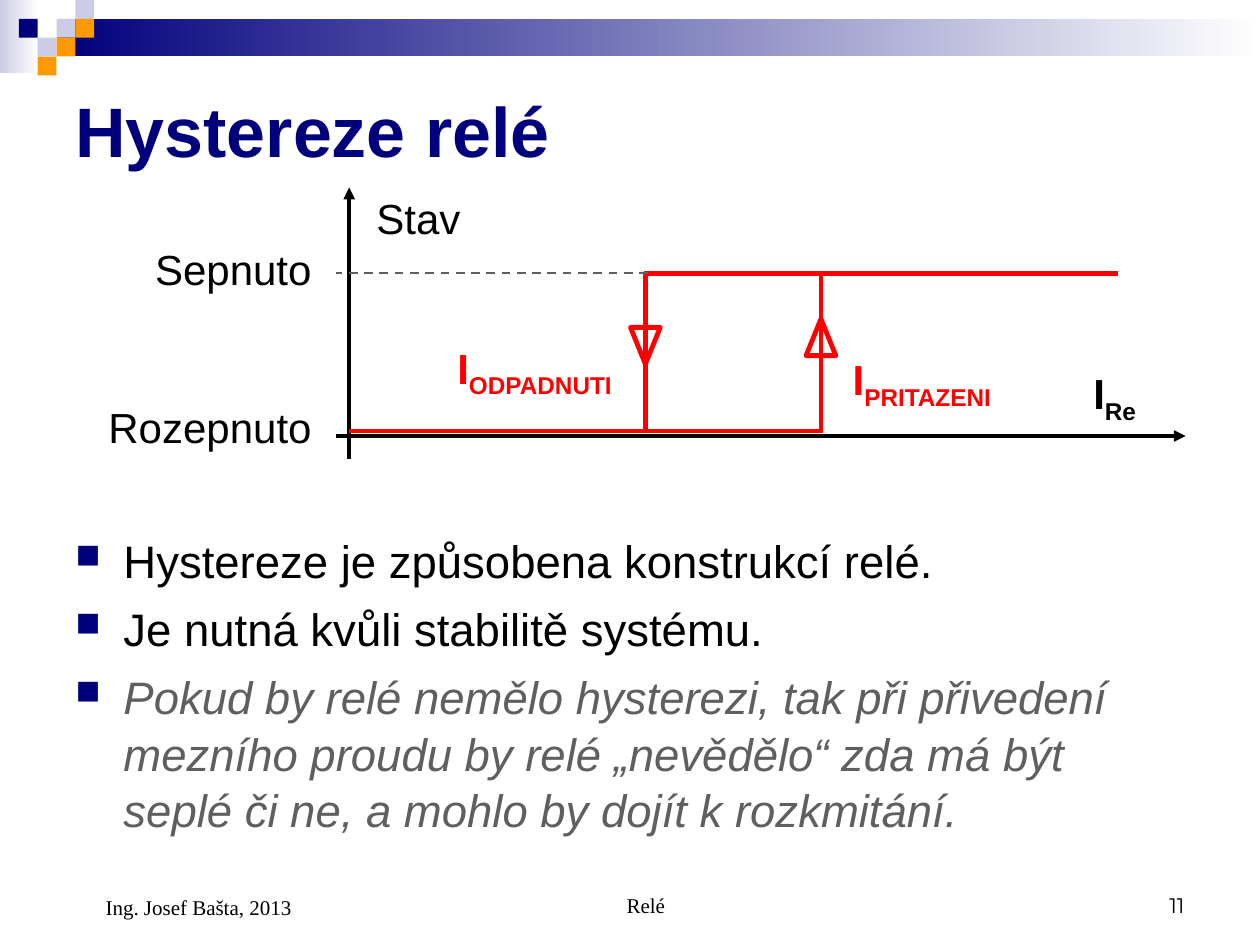
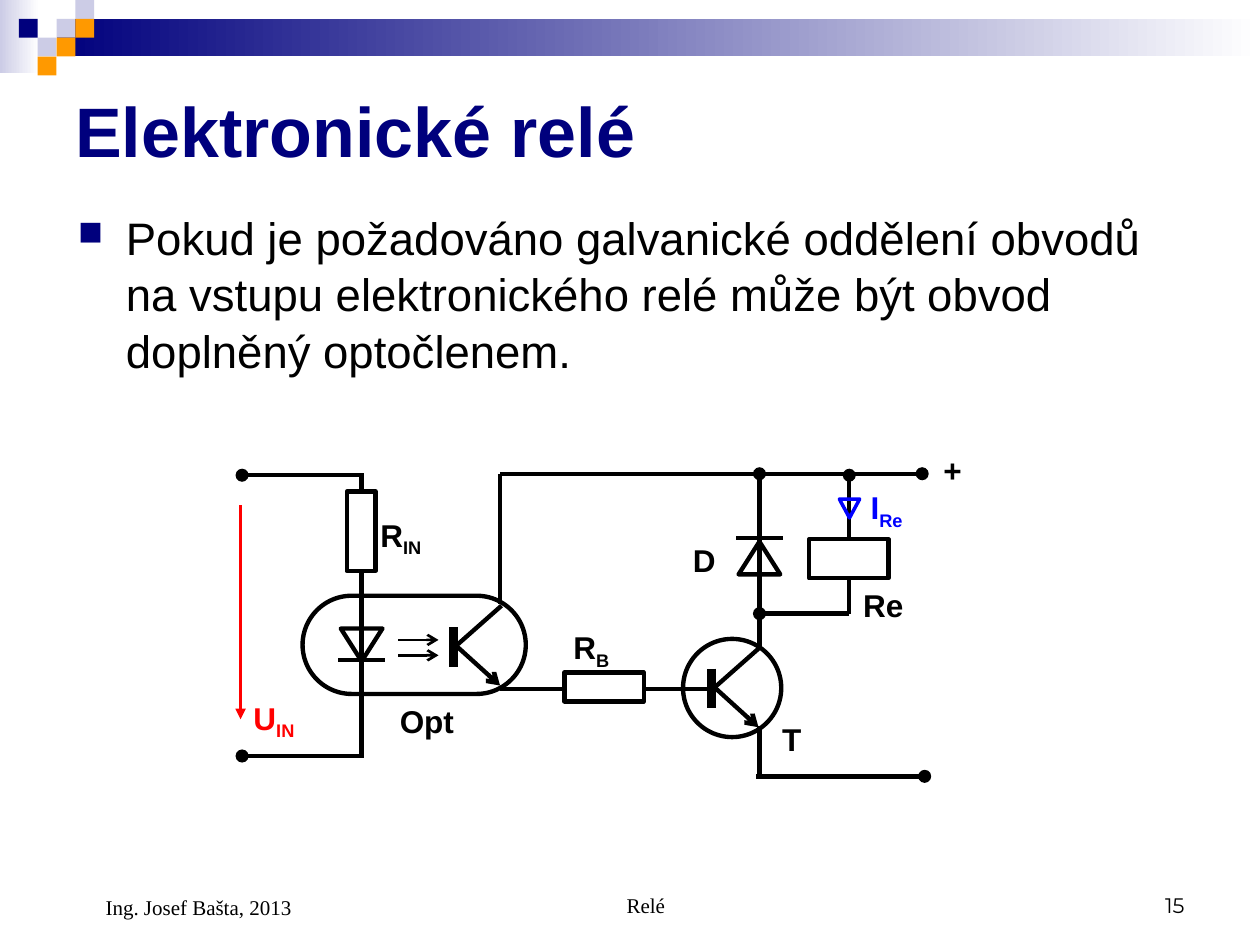
from lxml import etree
from pptx import Presentation
from pptx.dml.color import RGBColor
from pptx.enum.dml import MSO_LINE
from pptx.enum.shapes import MSO_CONNECTOR, MSO_SHAPE
from pptx.enum.text import MSO_ANCHOR, PP_ALIGN
from pptx.oxml.ns import qn
from pptx.util import Cm, Pt

RECT, ROUND = MSO_SHAPE.RECTANGLE, MSO_SHAPE.ROUNDED_RECTANGLE
TRIANGLE, OVAL = MSO_SHAPE.ISOSCELES_TRIANGLE, MSO_SHAPE.OVAL
STRAIGHT, DASH = MSO_CONNECTOR.STRAIGHT, MSO_LINE.DASH
LEFT, CENTER, RIGHT = PP_ALIGN.LEFT, PP_ALIGN.CENTER, PP_ALIGN.RIGHT
TOP, MIDDLE, BOTTOM = MSO_ANCHOR.TOP, MSO_ANCHOR.MIDDLE, MSO_ANCHOR.BOTTOM

NAVY, LAVENDER, ORANGE = "00007D", "CCCCE6", "FF9900"
BLACK, WHITE, GRAY, RED, BLUE = "000000", "FFFFFF", "5F5F5F", "FF0000", "0000FF"
SANS, SERIF, NUMERIC = "Arial", "Times New Roman", "Montserrat"
CELL = 0.38
SQUARES = [(3, 1, LAVENDER), (4, 0, LAVENDER), (4, 1, ORANGE), (2, 2, LAVENDER),
           (1, 1, NAVY), (3, 2, ORANGE), (2, 3, ORANGE)]


def rgb(color):
    return RGBColor.from_string(color)


class Deck:
    """Holds the shared style and the slide being drawn."""

    def __init__(self):
        self.prs = Presentation()
        self.prs.slide_width, self.prs.slide_height = Cm(25.4), Cm(19.05)
        self.s = None

    def slide(self, title, number):
        self.s = self.prs.slides.add_slide(self.prs.slide_layouts[6])
        self.gradient(0, 0, 0.79, 1.47, LAVENDER)
        self.gradient(3 * CELL, CELL, 25.4 - 3 * CELL, 0.76, NAVY)
        for col, row, color in SQUARES:
            self.shape(RECT, col * CELL, row * CELL, CELL, CELL, fill=color)
        self.text(title, 1.27, 1.27, 22.86, 2.62, 40, NAVY, bold=True, anchor=MIDDLE)
        self.footer("Relé", 8.69, 8.05, CENTER, SERIF, 0.61)
        self.footer(number, 18.21, 5.92, RIGHT, NUMERIC)
        self.footer("Ing. Josef Bašta, 2013", 1.27, 5.92, LEFT, SERIF, 0.61, 1.32)

    def footer(self, text, x, w, align, font, margin=0, h=1.27):
        p = self.text(text, x, 17.35, w, h, 12, align=align, font=font, anchor=BOTTOM, spacing=1)
        p._p.get_or_add_pPr().set("marL", str(Cm(margin)))

    def shape(self, kind, x, y, w, h, fill=None, line=None, width=2.5, rotation=0):
        sp = self.s.shapes.add_shape(kind, Cm(x), Cm(y), Cm(w), Cm(h))
        sp.shadow.inherit = False
        sp.rotation = rotation
        if fill:
            sp.fill.solid()
            sp.fill.fore_color.rgb = rgb(fill)
        else:
            sp.fill.background()
        if line:
            sp.line.color.rgb = rgb(line)
            sp.line.width = Pt(width)
        else:
            sp.line.fill.background()
        return sp

    def gradient(self, x, y, w, h, color):
        fill = self.shape(RECT, x, y, w, h).fill
        fill.gradient()
        fill.gradient_angle = 0
        for stop, tint in zip(fill.gradient_stops, (color, WHITE)):
            stop.color.rgb = rgb(tint)

    def line(self, x1, y1, x2, y2, color=BLACK, width=2.5, dash=None, head=None, tail=None):
        sp = self.s.shapes.add_connector(STRAIGHT, Cm(x1), Cm(y1), Cm(x2), Cm(y2))
        sp.line.color.rgb = rgb(color)
        sp.line.width = Pt(width)
        if dash:
            sp.line.dash_style = dash
        props = sp._element.spPr
        for tag, end in (("a:headEnd", head), ("a:tailEnd", tail)):
            if end:
                etree.SubElement(props.find(qn("a:ln")), qn(tag), type=end)
        etree.SubElement(props, qn("a:effectLst"))

    def text(self, text, x, y, w, h, size, color=BLACK, bold=False, align=LEFT, font=SANS,
             anchor=TOP, sub="", inset=True, spacing=1.04):
        tf = self.s.shapes.add_textbox(Cm(x), Cm(y), Cm(w), Cm(h)).text_frame
        tf.word_wrap = True
        tf.vertical_anchor = anchor
        if not inset:
            tf.margin_left = tf.margin_right = tf.margin_top = tf.margin_bottom = 0
        tf.text = text
        p = tf.paragraphs[0]
        p.alignment = align
        p.line_spacing = spacing
        if sub:
            r = p.add_run()
            r.text = sub
            r.font._element.set("baseline", "-25000")
        for r in p.runs:
            self.format(r, size, color, font, bold)
        return p

    def format(self, r, size, color, font=SANS, bold=False, italic=False):
        r.font.size, r.font.name = Pt(size), font
        r.font.bold, r.font.italic = bold, italic
        r.font.color.rgb = rgb(color)

    def bullets(self, items, x, y, h):
        tf = self.s.shapes.add_textbox(Cm(x), Cm(y), Cm(22.86), Cm(h)).text_frame
        tf.word_wrap = True
        tf.text = "\n".join(text for text, _ in items)
        for i, (p, (_, muted)) in enumerate(zip(tf.paragraphs, items)):
            p.line_spacing = 1.04
            p.space_before = Pt(6.5 if i else 0)
            props = p._p.get_or_add_pPr()
            props.set("marL", str(Cm(0.97)))
            props.set("indent", str(-Cm(0.97)))
            color = etree.SubElement(props, qn("a:buClr"))
            etree.SubElement(color, qn("a:srgbClr"), val=NAVY)
            etree.SubElement(props, qn("a:buSzPct"), val="75000")
            etree.SubElement(props, qn("a:buChar"), char="■")
            self.format(p.runs[0], 26, GRAY if muted else BLACK, italic=muted)

    def graph_label(self, text, x, y, w, color=BLACK, sub="", align=LEFT):
        self.text(text, x, y, w, 1.42 if sub else 1.27, 24, color, bool(sub), align, sub=sub)

    def part_label(self, text, x, y, color=BLACK, sub="", w=1.3):
        self.text(text, x, y, w, 0.86 if sub else 0.76, 18, color, True, sub=sub, inset=False)

    def transistor(self, x, y):
        self.line(x, y - 0.4, x, y + 0.4, width=5)
        self.line(x + 0.03, y, x + 0.97, y - 0.83)
        self.line(x + 0.08, y, x + 0.94, y + 0.78, tail="arrow")

    def diode(self, x, y, bar_y, rotation=0):
        self.shape(TRIANGLE, x - 0.42, y, 0.84, 0.66, line=BLACK, rotation=rotation)
        self.line(x - 0.47, bar_y, x + 0.47, bar_y, width=2.25)


def hysteresis(d):
    d.slide("Hystereze relé", "11")
    d.bullets([
        ("Hystereze je způsobena konstrukcí relé.", False),
        ("Je nutná kvůli stabilitě systému.", False),
        ("Pokud by relé nemělo hysterezi, tak při přivedení mezního proudu by relé "
         "„nevědělo“ zda má být seplé či ne, a mohlo by dojít k rozkmitání.", True),
    ], 1.27, 10.57, 6.25)
    axis_x, closed_y, open_y = 7.04, 5.51, 8.69
    d.line(6.78, 8.79, 23.9, 8.79, width=2.25, tail="triangle")
    d.line(axis_x, 9.25, axis_x, 3.78, width=2.25, tail="triangle")
    d.line(axis_x, open_y, 16.59, open_y, RED, 2.75)
    d.line(12.98, closed_y, 22.53, closed_y, RED, 2.75)
    for x, arrow_y, rotation in ((16.55, 6.43, 0), (13.01, 6.6, 180)):
        d.line(x, closed_y, x, open_y, RED, 2.75)
        d.shape(TRIANGLE, x - 0.3, arrow_y, 0.6, 0.74, line=RED, width=2.75, rotation=rotation)
    d.line(13.06, closed_y, 6.78, closed_y, GRAY, 1.25, DASH)
    d.graph_label("I", 21.79, 7.24, 2.59, sub="Re")
    d.graph_label("Stav", 7.34, 3.71, 2.59)
    d.graph_label("Sepnuto", 1.37, 4.75, 5.16, align=RIGHT)
    d.graph_label("Rozepnuto", 1.37, 7.92, 5.16, align=RIGHT)
    d.graph_label("I", 16.94, 6.96, 3.84, RED, "PRITAZENI")
    d.graph_label("I", 8.97, 6.73, 4.17, RED, "ODPADNUTI")


def electronic_relay(d):
    d.slide("Elektronické relé", "15")
    d.bullets([("Pokud je požadováno galvanické oddělení obvodů na vstupu elektronického "
                "relé může být obvod doplněný optočlenem.", False)], 1.32, 4.06, 4.09)

    supply_y, input_x, opto_x, load_x, coil_x = 9.55, 7.29, 10.08, 15.31, 17.12
    d.line(coil_x, 12.37, coil_x, 9.58, tail="oval")
    d.line(load_x, 12.37, coil_x, 12.37, head="oval")
    d.line(load_x, 13.06, load_x, supply_y, tail="oval")
    d.line(load_x, 15.65, load_x, 14.63)
    d.line(15.24, 15.65, 18.64, 15.65, tail="oval")
    d.line(opto_x, 12.17, opto_x, supply_y)
    d.line(opto_x, supply_y, 18.59, supply_y, tail="oval")
    d.line(opto_x, 13.89, 14.3, 13.89)
    d.line(input_x, 15.24, input_x, 9.58)
    for y in (9.58, 15.24):
        d.line(4.88, y, 7.34, y, head="oval")

    d.shape(OVAL, 13.77, 12.88, 1.98, 1.98, line=BLACK)
    d.shape(ROUND, 6.1, 12.01, 4.5, 1.98, line=BLACK).adjustments[0] = 0.5
    d.transistor(14.35, 13.88)
    d.transistor(9.14, 13.04)
    d.diode(load_x, 10.92, 10.85)
    d.diode(input_x, 12.67, 13.31, 180)
    for x, y, w, h in ((11.38, 13.56, 1.6, 0.58), (6.99, 9.91, 0.58, 1.6),
                       (16.31, 10.87, 1.6, 0.79)):
        d.shape(RECT, x, y, w, h, WHITE, BLACK)
    for y in (12.9, 13.21):
        d.line(8.03, y, 8.84, y, width=1.5, tail="arrow")
    d.line(4.85, 10.19, 4.85, 14.5, RED, 2, tail="triangle")
    d.shape(TRIANGLE, 16.92, 10.06, 0.41, 0.38, line=BLUE, width=2, rotation=180)

    d.part_label("T", 15.77, 14.48)
    d.part_label("R", 11.56, 12.62, sub="B")
    d.part_label("Opt", 8.06, 14.12)
    d.part_label("+", 19.02, 9.07, w=0.51)
    d.part_label("D", 13.97, 10.87)
    d.part_label("R", 7.67, 10.36, sub="IN")
    d.part_label("Re", 17.4, 11.79)
    d.part_label("U", 5.11, 14.05, RED, "IN")
    d.part_label("I", 17.55, 9.8, BLUE, "Re")


def main():
    d = Deck()
    hysteresis(d)
    electronic_relay(d)
    d.prs.save("out.pptx")


if __name__ == "__main__":
    main()
